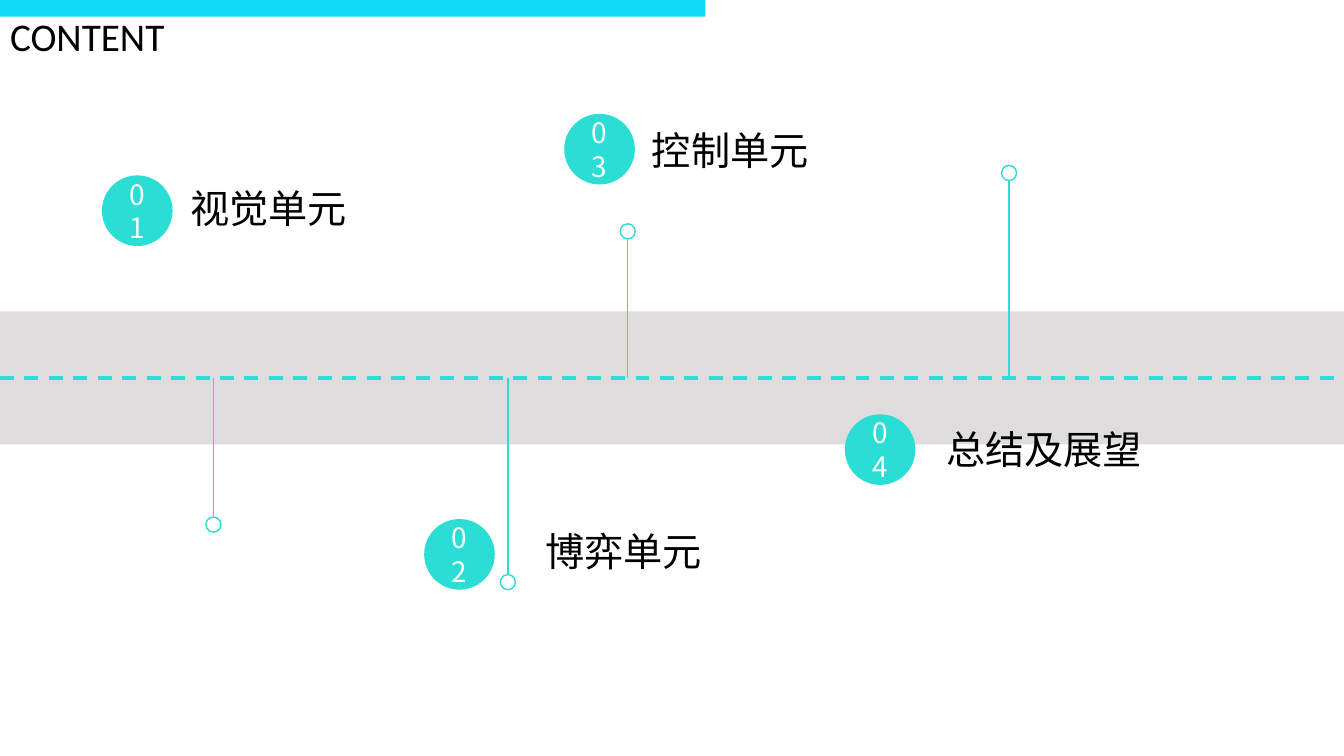
from dataclasses import dataclass

import pptx
import pptx.dml.color
import pptx.enum.dml
import pptx.enum.shapes
import pptx.enum.text
import pptx.oxml.ns
import pptx.oxml.xmlchemy
import pptx.util

Cm = pptx.util.Cm
Pt = pptx.util.Pt
SHAPE = pptx.enum.shapes.MSO_SHAPE
ALIGN = pptx.enum.text.PP_ALIGN
ANCHOR = pptx.enum.text.MSO_ANCHOR


@dataclass(frozen=True)
class Theme:
    """Colours, fonts and type sizes of the slide."""
    accent: str = "2ADED5"
    header: str = "10DCF8"
    band: str = "D0CECE"
    ink: str = "000000"
    paper: str = "FFFFFF"
    latin: str = "Calibri"
    cjk: str = "Noto Sans CJK SC"
    heading: int = 28
    number: int = 20


THEME = Theme()
SLIDE_WIDTH, SLIDE_HEIGHT = 33.87, 19.05
AXIS = SLIDE_HEIGHT / 2
BADGE_SIZE = 1.78
RING_SIZE = 0.38

CHAPTERS = [
    ("01", "视觉单元", (2.57, 4.42), (1.98, 0.1)),
    ("02", "博弈单元", (10.69, 13.08), (2.8, 0.08)),
    ("03", "控制单元", (14.22, 2.87), (1.96, 0.2)),
    ("04", "总结及展望", (21.29, 10.44), (2.31, 0.15)),
]
PINS = [(5.38, 13.41), (12.8, 14.86), (15.82, 5.64), (25.43, 4.17)]


def rgb(code):
    """Return the colour for a hex code."""
    return pptx.dml.color.RGBColor.from_string(code)


def add_xml(parent, tag, **attributes):
    """Append a drawing element to a parent element."""
    child = pptx.oxml.xmlchemy.OxmlElement(tag)
    for key, value in attributes.items():
        child.set(key, value)
    parent.append(child)


def write(frame, words, size, font_name, color, align=None):
    """Write one formatted paragraph into a text frame."""
    frame.text = words
    paragraph = frame.paragraphs[0]
    paragraph.alignment = align
    run = paragraph.runs[0]
    run.font.size = Pt(size)
    run.font.name = font_name
    run.font.color.rgb = rgb(color)
    add_xml(run.font._element, "a:ea", typeface=font_name)


def add_filled(shapes, kind, left, top, width, height, color):
    """Add a borderless shape with a solid fill."""
    shape = shapes.add_shape(kind, Cm(left), Cm(top), Cm(width), Cm(height))
    shape.shadow.inherit = False
    shape.fill.solid()
    shape.fill.fore_color.rgb = rgb(color)
    shape.line.fill.background()
    return shape


def add_rule(shapes, start, end, weight):
    """Add a straight accent line between two points."""
    points = [Cm(value) for value in (*start, *end)]
    rule = shapes.add_connector(pptx.enum.shapes.MSO_CONNECTOR.STRAIGHT, *points)
    rule.line.color.rgb = rgb(THEME.accent)
    rule.line.width = Pt(weight)
    add_xml(rule._element.spPr, "a:effectLst")
    return rule


def add_header(slide, left, top, width):
    """Place the coloured bar and the slide title beneath it."""
    add_filled(slide.shapes, SHAPE.RECTANGLE, left, top, width, 0.42, THEME.header)
    title = slide.shapes.title
    title.left, title.top = Cm(left), Cm(top + 0.18)
    title.width, title.height = Cm(width), Cm(1.45)
    title.text_frame.vertical_anchor = ANCHOR.TOP
    write(title.text_frame, "CONTENT", THEME.heading, THEME.latin, THEME.ink, ALIGN.JUSTIFY)


def add_road(slide, left, middle, width, height):
    """Place the translucent band with its dashed centre line."""
    band = add_filled(slide.shapes, SHAPE.RECTANGLE, left, middle - height / 2,
                      width, height, THEME.band)
    color = band._element.spPr.find(".//" + pptx.oxml.ns.qn("a:srgbClr"))
    add_xml(color, "a:alpha", val="70000")
    center_line = add_rule(slide.shapes, (left, middle), (left + width, middle), 2.5)
    center_line.line.dash_style = pptx.enum.dml.MSO_LINE.DASH


def add_pin(slide, x, axis, tip):
    """Place a grouped stem that runs from the axis to a ring at its tip."""
    pin = slide.shapes.add_group_shape().shapes
    below = tip > axis
    ring_top = tip - RING_SIZE if below else tip
    stem_end = ring_top if below else tip + RING_SIZE
    add_rule(pin, (x, axis), (x, stem_end), 1)
    ring = pin.add_shape(SHAPE.OVAL, Cm(x - RING_SIZE / 2), Cm(ring_top),
                         Cm(RING_SIZE), Cm(RING_SIZE))
    ring.shadow.inherit = False
    ring.fill.background()
    ring.line.color.rgb = rgb(THEME.accent)
    ring.line.width = Pt(1)


def add_chapter(slide, number, name, corner, label_offset):
    """Place a numbered badge and the chapter name beside it."""
    left, top = corner
    badge = add_filled(slide.shapes, SHAPE.OVAL, left, top, BADGE_SIZE, BADGE_SIZE, THEME.accent)
    badge.text_frame.vertical_anchor = ANCHOR.MIDDLE
    write(badge.text_frame, number, THEME.number, THEME.cjk, THEME.paper, ALIGN.CENTER)
    label = slide.shapes.add_textbox(Cm(left + label_offset[0]), Cm(top + label_offset[1]),
                                     Cm(7.09), Cm(1.45))
    label.text_frame.word_wrap = True
    label.text_frame.auto_size = pptx.enum.text.MSO_AUTO_SIZE.SHAPE_TO_FIT_TEXT
    write(label.text_frame, name, THEME.heading, THEME.cjk, THEME.ink)


def main():
    """Build the contents slide and save it."""
    deck = pptx.Presentation()
    deck.slide_width, deck.slide_height = Cm(SLIDE_WIDTH), Cm(SLIDE_HEIGHT)
    slide = deck.slides.add_slide(deck.slide_layouts.get_by_name("Title Only"))
    add_road(slide, 0, AXIS, SLIDE_WIDTH, 3.35)
    for x, tip in PINS:
        add_pin(slide, x, AXIS, tip)
    add_header(slide, 0, 0, 17.78)
    for chapter in CHAPTERS:
        add_chapter(slide, *chapter)
    deck.save("out.pptx")


if __name__ == "__main__":
    main()
